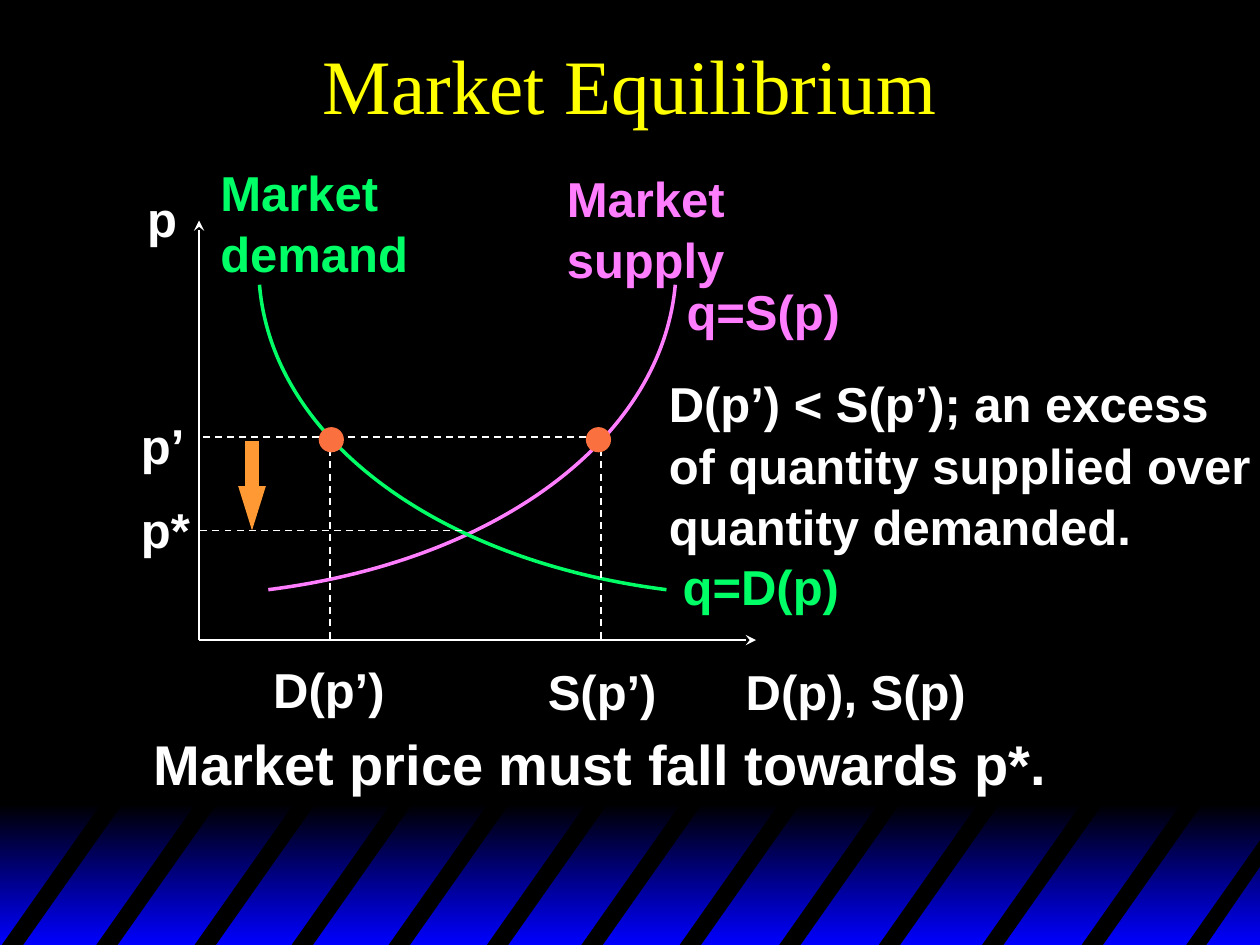
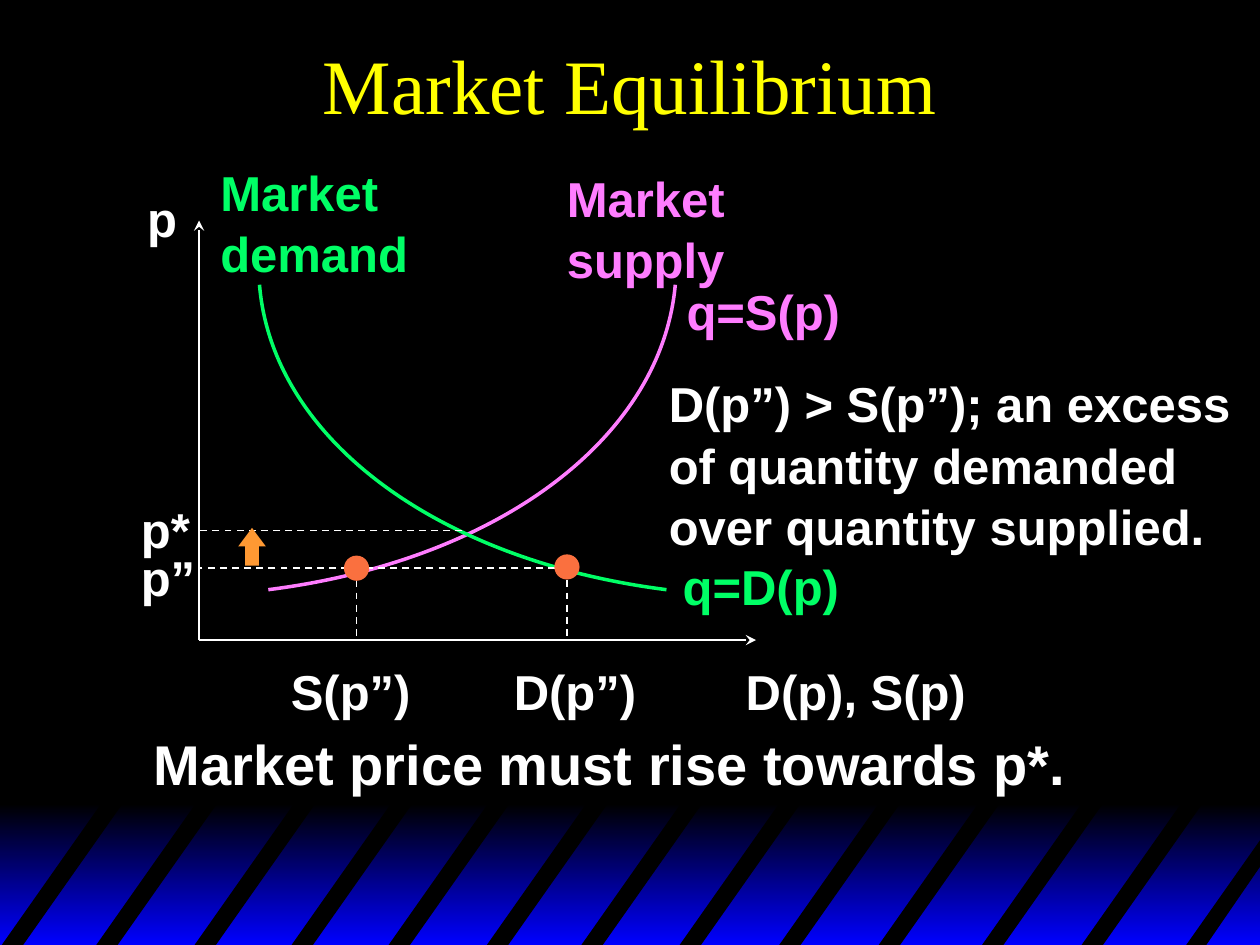
from dataclasses import dataclass

from lxml import etree
from pptx import Presentation
from pptx import util as u
from pptx.dml import color
from pptx.enum import dml, shapes, text
from pptx.oxml import ns


@dataclass(frozen=True)
class Theme:
    ground: str = "000000"
    glow: str = "0000FF"
    title: str = "FFFF00"
    ink: str = "FFFFFF"
    demand: str = "00FF66"
    supply: str = "FF7DFF"
    dot: str = "FA703F"
    arrow: str = "FF9933"
    title_font: str = "Times New Roman"
    body_font: str = "Arial"
    title_size: int = 44
    label_size: int = 28
    message_size: int = 32
    label_spacing: float = 1.04


@dataclass(frozen=True)
class Case:
    price: float
    price_label: tuple
    quantities: tuple
    dots: tuple
    quantity_labels: tuple
    explanation: tuple
    message: tuple
    arrow: tuple
    arrow_shape: shapes.MSO_SHAPE
    arrow_head: float


THEME = Theme()
AXIS_X, AXIS_Y = 1.58, 5.08
DOT = 0.2
STRIPE_STARTS = (0, 0.75, 1.53, 2.3, 3.07, 3.85, 4.6, 5.38, 6.17, 6.96, 7.78, 8.57)
SUPPLY_CURVE = ((5.36, 2.26), (5.25, 3.48), (3.95, 4.45), (2.13, 4.68))
DEMAND_CURVE = ((5.29, 4.68), (3.47, 4.45), (2.16, 3.48), (2.06, 2.26))

COMMON_LABELS = (
    ("p", 1.07, 1.43, 0.44, THEME.ink),
    ("D(p), S(p)", 5.82, 5.18, 1.95, THEME.ink),
    ("q=D(p)", 5.32, 4.35, 1.44, THEME.demand),
    ("Market\ndemand", 1.65, 1.22, 1.69, THEME.demand),
    ("Market\nsupply", 4.4, 1.27, 1.45, THEME.supply),
    ("q=S(p)", 5.35, 2.17, 1.42, THEME.supply),
    ("p*", 1.02, 3.9, 0.59, THEME.ink),
)

CASES = (
    Case(
        price=3.47,
        price_label=("p’", 1.02, 3.23, 0.55),
        quantities=(2.62, 4.77),
        dots=((2.63, 3.49), (4.75, 3.49)),
        quantity_labels=(("D(p’)", 2.07, 5.17, 1.09), ("S(p’)", 4.25, 5.18, 1.06)),
        explanation=(
            "D(p’) < S(p’); an excess\nof quantity supplied over\nquantity demanded.",
            5.21, 2.9, 4.82,
        ),
        message=("Market price must fall towards p*.", 1.12, 5.72, 7.3),
        arrow=(1.89, 3.5, 0.22, 0.71),
        arrow_shape=shapes.MSO_SHAPE.DOWN_ARROW,
        arrow_head=1.6,
    ),
    Case(
        price=4.51,
        price_label=("p”", 1.02, 4.28, 0.63),
        quantities=(2.83, 4.5),
        dots=((2.83, 4.51), (4.5, 4.5)),
        quantity_labels=(("S(p”)", 2.21, 5.18, 1.15), ("D(p”)", 3.98, 5.18, 1.17)),
        explanation=(
            "D(p”) > S(p”); an excess\nof quantity demanded\nover quantity supplied.",
            5.21, 2.9, 4.66,
        ),
        message=("Market price must rise towards p*.", 1.12, 5.72, 7.45),
        arrow=(1.89, 4.19, 0.22, 0.3),
        arrow_shape=shapes.MSO_SHAPE.UP_ARROW,
        arrow_head=0.67,
    ),
)


def rgb(value):
    return color.RGBColor.from_string(value)


def inches(*lengths):
    return [u.Inches(length) for length in lengths]


def set_font(para, hue, **formats):
    for span in para.runs:
        for name, value in formats.items():
            setattr(span.font, name, value)
        span.font.color.rgb = rgb(hue)


def fill_plain(shape, hue):
    shape.shadow.inherit = False
    shape.fill.solid()
    shape.fill.fore_color.rgb = rgb(hue)
    shape.line.fill.background()


def add_preset(page, kind, place, hue):
    shape = page.shapes.add_shape(kind, *inches(*place))
    fill_plain(shape, hue)
    return shape


def add_outline(canvas, points, close):
    start, *rest = [inches(*point) for point in points]
    builder = canvas.build_freeform(*start, scale=1.0)
    builder.add_line_segments(rest, close=close)
    shape = builder.convert_to_shape()
    shape.shadow.inherit = False
    return shape


def add_curve(page, points, hue):
    curve = add_outline(page.shapes, points, close=False)
    curve.fill.background()
    curve.line.color.rgb = rgb(hue)
    curve.line.width = u.Pt(2)
    track = curve.element.find(".//" + ns.qn("a:path"))
    track.set("fill", "none")
    bezier = etree.SubElement(track, ns.qn("a:cubicBezTo"))
    for segment in track.findall(ns.qn("a:lnTo")):
        bezier.append(segment[0])
        track.remove(segment)


def add_line(page, start, end, dashed=False, arrow=False):
    line = page.shapes.add_connector(
        shapes.MSO_CONNECTOR.STRAIGHT, *inches(*start, *end)
    )
    line.line.color.rgb = rgb(THEME.ink)
    line.line.width = u.Pt(1)
    if dashed:
        line.line.dash_style = dml.MSO_LINE.DASH
    if arrow:
        stroke = line.line.fill and line.element.spPr.find(ns.qn("a:ln"))
        etree.SubElement(stroke, ns.qn("a:tailEnd"), type="stealth")
    etree.SubElement(line.element.spPr, ns.qn("a:effectLst"))


def add_label(page, words, left, top, width, hue=THEME.ink, size=THEME.label_size):
    height = 0.1 + size / 60 * (words.count("\n") + 1)
    box = page.shapes.add_textbox(*inches(left, top, width, height))
    frame = box.text_frame
    frame.word_wrap = False
    frame.auto_size = text.MSO_AUTO_SIZE.SHAPE_TO_FIT_TEXT
    para = frame.paragraphs[0]
    para.text = words.replace("\n", "\v")
    para.line_spacing = THEME.label_spacing
    set_font(para, hue, name=THEME.body_font, size=u.Pt(size), bold=True)


def add_title(page, words):
    title = page.shapes.title
    title.left, title.top, title.width, title.height = inches(0, 0, 10, 1.33)
    title.text_frame.text = words
    title.text_frame.vertical_anchor = text.MSO_ANCHOR.MIDDLE
    para = title.text_frame.paragraphs[0]
    para.alignment = text.PP_ALIGN.CENTER
    set_font(para, THEME.title, name=THEME.title_font, size=u.Pt(THEME.title_size))


def decorate_master(deck, page):
    master = deck.slide_master
    master.background.fill.solid()
    master.background.fill.fore_color.rgb = rgb(THEME.ground)

    band = page.shapes.add_group_shape()
    glow = band.shapes.add_shape(
        shapes.MSO_SHAPE.RECTANGLE, *inches(0, 6.38, 10.02, 1.12)
    )
    glow.shadow.inherit = False
    glow.line.fill.background()
    glow.fill.gradient()
    glow.fill.gradient_angle = 270
    for stop, hue, position in zip(
        glow.fill.gradient_stops, (THEME.ground, THEME.glow), (0, 1)
    ):
        stop.color.rgb = rgb(hue)
        stop.position = position

    stripes = [
        ((x, 7.52), (x + 0.83, 6.34), (x + 1, 6.34), (x + 0.17, 7.52))
        for x in STRIPE_STARTS
    ]
    stripes.append(((9.4, 7.52), (10.02, 6.64), (10.02, 6.85), (9.56, 7.52)))
    for stripe in stripes:
        fill_plain(add_outline(band.shapes, stripe, close=True), THEME.ground)

    for number, item in enumerate(band.element.iter(ns.qn("p:cNvPr")), 100):
        item.set("id", str(number))
    master.shapes.element.insert(2, band.element)


def draw_market(page, case):
    origin = (AXIS_X, AXIS_Y)
    add_line(page, origin, (AXIS_X, 1.75), arrow=True)
    add_line(page, origin, (6, AXIS_Y), arrow=True)
    add_curve(page, SUPPLY_CURVE, THEME.supply)
    add_curve(page, DEMAND_CURVE, THEME.demand)

    for price, reach in ((case.price, case.dots[-1][0]), (4.21, 3.67)):
        add_line(page, (reach, price), (AXIS_X, price), dashed=True)
    for quantity in case.quantities:
        add_line(page, (quantity, case.price), (quantity, AXIS_Y), dashed=True)
    for x, y in case.dots:
        place = (x - DOT / 2, y - DOT / 2, DOT, DOT)
        add_preset(page, shapes.MSO_SHAPE.OVAL, place, THEME.dot)

    arrow = add_preset(page, case.arrow_shape, case.arrow, THEME.arrow)
    arrow.adjustments[0] = 0.5
    arrow.adjustments[1] = case.arrow_head

    own_labels = (case.price_label, *case.quantity_labels, case.explanation)
    for label in COMMON_LABELS + own_labels:
        add_label(page, *label)
    add_label(page, *case.message, size=THEME.message_size)


def main():
    deck = Presentation()
    deck.slide_width, deck.slide_height = inches(10, 7.5)
    pages = [deck.slides.add_slide(deck.slide_layouts[5]) for _ in CASES]
    decorate_master(deck, pages[0])
    for page, case in zip(pages, CASES):
        add_title(page, "Market Equilibrium")
        draw_market(page, case)
    deck.save("out.pptx")


if __name__ == "__main__":
    main()
